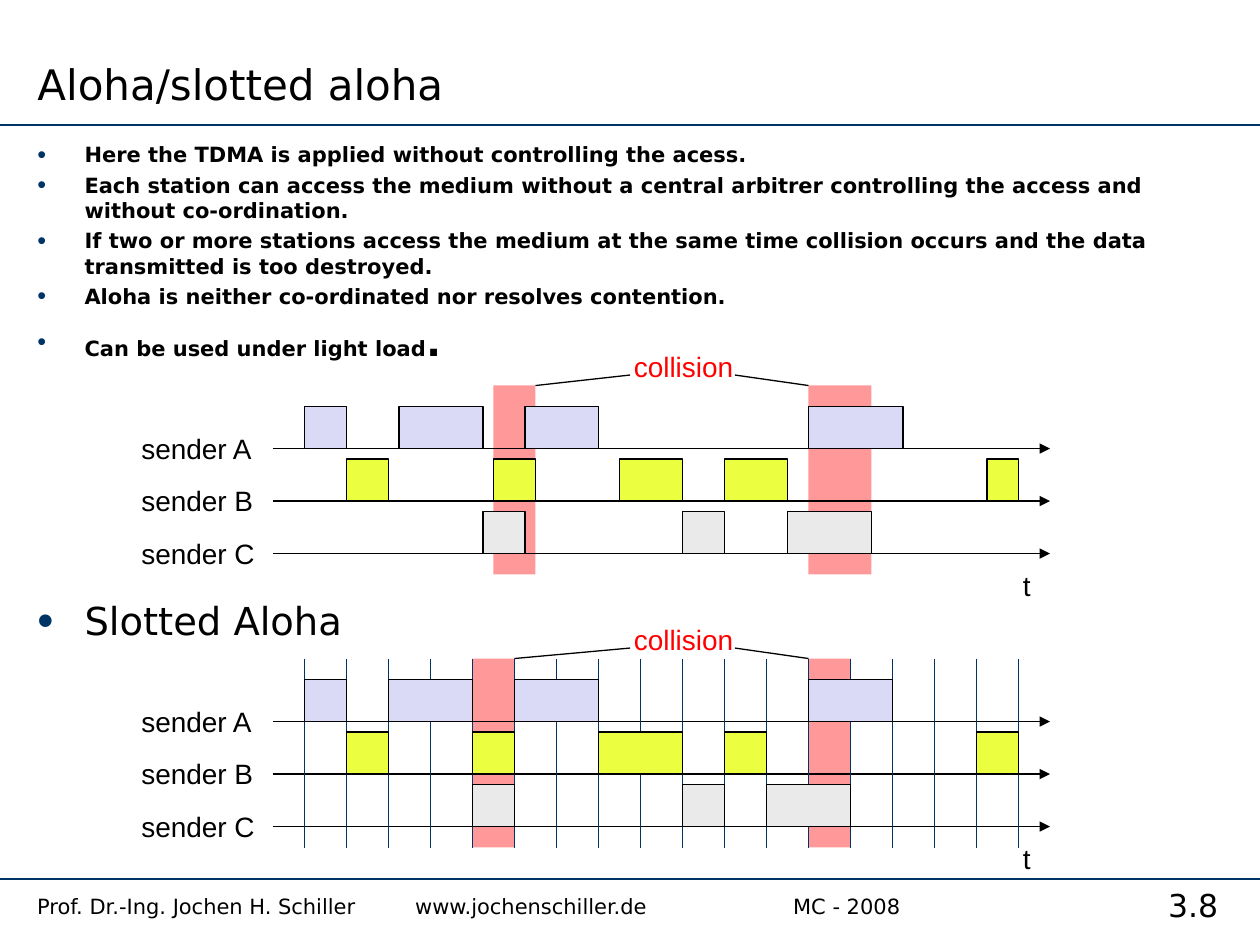
"""Build the Aloha and slotted Aloha slide with its two timing diagrams."""
from lxml.etree import SubElement
from pptx import Presentation
from pptx.dml.color import RGBColor
from pptx.enum.shapes import MSO_CONNECTOR, MSO_SHAPE
from pptx.enum.text import MSO_ANCHOR, MSO_AUTO_SIZE, PP_ALIGN
from pptx.oxml.ns import qn
from pptx.util import Cm, Pt

BLACK = RGBColor(0x00, 0x00, 0x00)
NAVY = RGBColor(0x00, 0x33, 0x66)
RED = RGBColor(0xFF, 0x00, 0x00)
PINK = RGBColor(0xFF, 0x99, 0x99)
LAVENDER = RGBColor(0xDA, 0xDA, 0xF6)
YELLOW = RGBColor(0xEC, 0xFE, 0x40)
GREY = RGBColor(0xEA, 0xEA, 0xEA)

UNIT = 2.54 / 12
SLOT = 4
ROW_GAP = 5
BAND_HEIGHT = 18
FIRST_SLOT, LAST_SLOT = 29, 97
SENDERS = [("sender A", LAVENDER), ("sender B", YELLOW), ("sender C", GREY)]

BULLETS = [
    "Here the TDMA is applied without controlling the acess.",
    "Each station can access the medium without a central arbitrer "
    "controlling the access and without co-ordination.",
    "If two or more stations access the medium at the same time collision "
    "occurs and the data transmitted is too destroyed.",
    "Aloha is neither co-ordinated nor resolves contention.",
]

ALOHA = {
    "top": 36.72,
    "bands": [(47, 4), (77, 6)],
    "bars": [
        [(29, 4), (38, 8), (50, 7), (77, 9)],
        [(33, 4), (47, 4), (59, 6), (69, 6), (94, 3)],
        [(46, 4), (65, 4), (75, 8)],
    ],
}
SLOTTED_ALOHA = {
    "top": 62.72,
    "bands": [(45, 4), (77, 4)],
    "bars": [
        [(29, 4), (37, 8), (49, 8), (77, 8)],
        [(33, 4), (45, 4), (57, 8), (69, 4), (93, 4)],
        [(45, 4), (65, 4), (73, 8)],
    ],
    "slotted": True,
}


class SlideBuilder:
    """Hold the style and the current slide."""

    text_font = "DejaVu Sans"
    label_font = "Arial"
    label_size = 16
    thin = 0.75

    def __init__(self, page):
        self.page = page

    def place(self, shape, left, top, width, height):
        shape.left, shape.top = Cm(left), Cm(top)
        shape.width, shape.height = Cm(width), Cm(height)

    def style(self, font, size, color=BLACK, name=text_font, bold=False):
        font.name, font.size, font.bold = name, Pt(size), bold
        font.color.rgb = color

    def title(self, text):
        box = self.page.shapes.title
        self.place(box, 0.5, 0, 16.8, 2.32)
        frame = box.text_frame
        frame.text = text
        frame.vertical_anchor = MSO_ANCHOR.BOTTOM
        frame.auto_size = MSO_AUTO_SIZE.NONE
        frame.paragraphs[0].alignment = PP_ALIGN.LEFT
        self.style(frame.paragraphs[0].font, 24)

    def body(self):
        box = self.page.placeholders[1]
        self.place(box, 0.5, 2.73, 24.4, 14.86)
        box.text_frame.auto_size = MSO_AUTO_SIZE.NONE
        self.bullet(box.text_frame.paragraphs[0], BULLETS[0], 0)
        for text in BULLETS[1:]:
            self.bullet(box.text_frame.add_paragraph(), text, 3)
        para = box.text_frame.add_paragraph()
        self.bullet(para, "Can be used under light load", 5.5)
        span = para.add_run()
        span.text = "."
        span.font.size = Pt(22)
        self.bullet(box.text_frame.add_paragraph(), "Slotted Aloha", 133, 22, False)

    def bullet(self, para, text, space, size=12, bold=True):
        properties = para._p.get_or_add_pPr()
        properties.set("marL", str(Cm(0.95)))
        properties.set("indent", str(Cm(-0.95)))
        color = SubElement(properties, qn("a:buClr"))
        SubElement(color, qn("a:srgbClr"), val=str(NAVY))
        SubElement(properties, qn("a:buSzPct"), val="120000")
        SubElement(properties, qn("a:buChar"), char="•")
        para.space_before = Pt(space)
        para.add_run().text = text
        self.style(para.font, size, bold=bold)

    def text(self, text, left, top, width, height, size, align=PP_ALIGN.LEFT, tabs=()):
        box = self.page.shapes.add_textbox(Cm(left), Cm(top), Cm(width), Cm(height))
        box.text_frame.word_wrap = True
        para = box.text_frame.paragraphs[0]
        para.add_run().text = text
        para.alignment = align
        if tabs:
            stops = SubElement(para._p.get_or_add_pPr(), qn("a:tabLst"))
            for stop in tabs:
                SubElement(stops, qn("a:tab"), pos=str(Cm(stop)), algn="l")
        self.style(para.font, size)
        return box

    def label(self, text, left, top, width, color=BLACK, align=PP_ALIGN.CENTER):
        box = self.text(text, left, top, width, 0.94, self.label_size, align)
        frame = box.text_frame
        frame.word_wrap = False
        frame.vertical_anchor = MSO_ANCHOR.MIDDLE
        self.style(frame.paragraphs[0].font, self.label_size, color, self.label_font)

    def line(self, start, end, color=BLACK, width=thin, arrow=False):
        ends = [Cm(value * UNIT) for value in (*start, *end)]
        line = self.page.shapes.add_connector(MSO_CONNECTOR.STRAIGHT, *ends)
        line.line.color.rgb = color
        line.line.width = Pt(width)
        if arrow:
            SubElement(line.line._get_or_add_ln(), qn("a:tailEnd"), type="triangle")
        SubElement(line._element.spPr, qn("a:effectLst"))

    def block(self, left, top, width, height, fill, outlined=True):
        area = [Cm(value * UNIT) for value in (left, top, width, height)]
        block = self.page.shapes.add_shape(MSO_SHAPE.RECTANGLE, *area)
        block.shadow.inherit = False
        block.fill.solid()
        block.fill.fore_color.rgb = fill
        if outlined:
            block.line.color.rgb = BLACK
            block.line.width = Pt(self.thin)
        else:
            block.line.fill.background()

    def diagram(self, top, bands, bars, slotted=False):
        for left, width in bands:
            self.block(left, top, width, BAND_HEIGHT, PINK, outlined=False)
        axes = [top + 6 + row * ROW_GAP for row in range(len(SENDERS))]
        for axis, (name, _) in zip(axes, SENDERS):
            self.line((26, axis), (100, axis), arrow=True)
            self.label(name, 2.6, axis * UNIT - 0.48, 3, align=PP_ALIGN.LEFT)
        if slotted:
            for tick in range(FIRST_SLOT, LAST_SLOT + 1, SLOT):
                self.line((tick, top), (tick, top + BAND_HEIGHT), NAVY)
        for axis, (_, fill), row in zip(axes, SENDERS, bars):
            for left, width in row:
                self.block(left, axis - SLOT, width, SLOT, fill)
        (first, width), (second, _) = bands
        self.line((first + width, top), (60, top - 1))
        self.line((second, top), (70, top - 1))
        self.label("collision", 12.4, top * UNIT - 0.86, 2.76, RED)
        self.label("t", 20.2, top * UNIT + 3.56, 1)


def main():
    deck = Presentation()
    deck.slide_width, deck.slide_height = Cm(25.4), Cm(19.05)
    builder = SlideBuilder(deck.slides.add_slide(deck.slide_layouts[1]))
    for height in (11.88, 83.73):
        builder.line((0, height), (120, height), NAVY, 1)
    builder.text("3.8", 22.71, 17.73, 2.69, 1.12, 18, PP_ALIGN.CENTER)
    builder.title("Aloha/slotted aloha")
    builder.body()
    builder.diagram(**ALOHA)
    builder.diagram(**SLOTTED_ALOHA)
    footer = "Prof. Dr.-Ing. Jochen H. Schiller\twww.jochenschiller.de\tMC - 2008"
    builder.text(footer, 0.5, 17.88, 22.2, 0.84, 12, tabs=(7.62, 15.24))
    deck.save("out.pptx")


if __name__ == "__main__":
    main()
